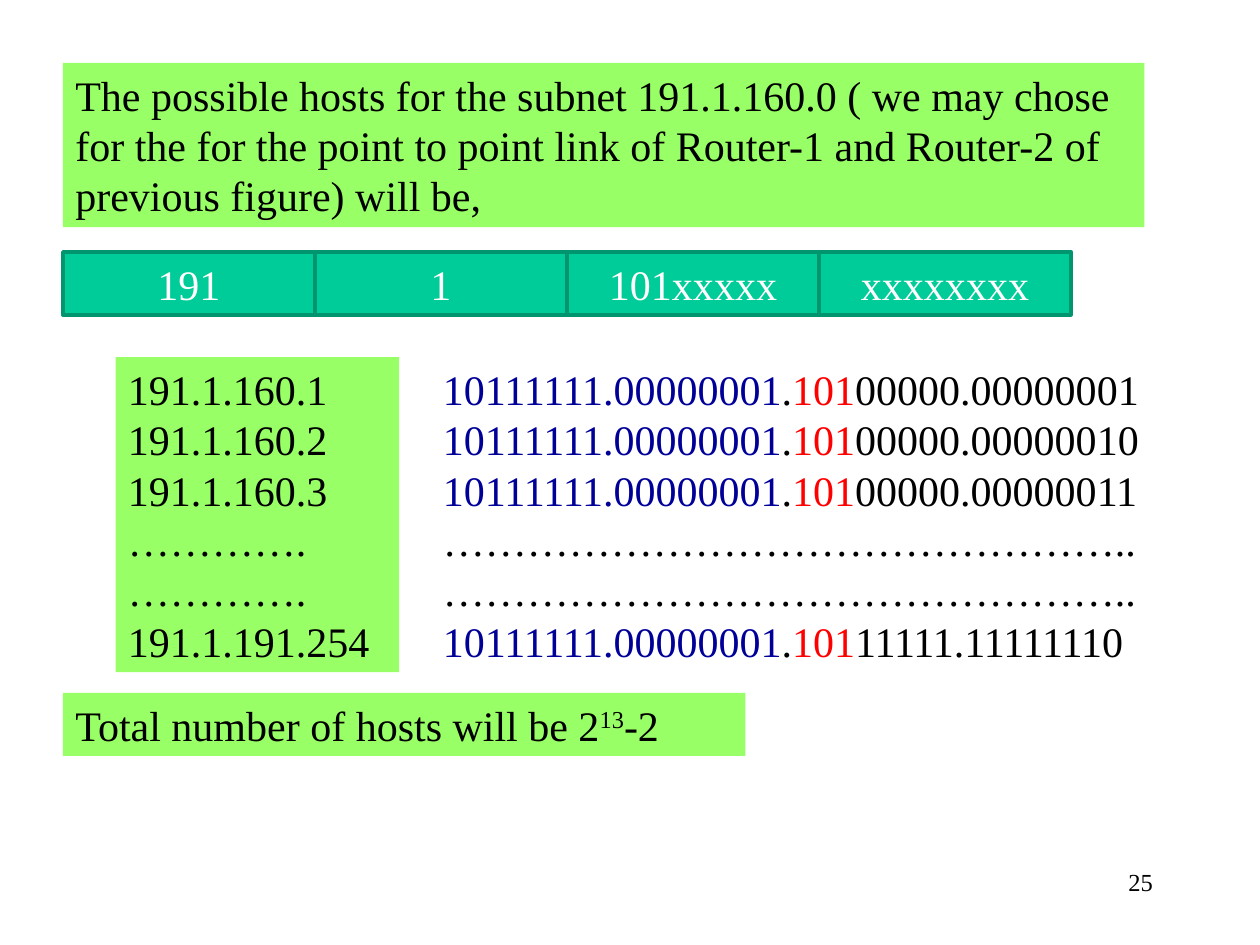
from dataclasses import dataclass
from typing import Any

from pptx import Presentation
from pptx.dml.color import RGBColor as Rgb
from pptx.enum.shapes import MSO_SHAPE as Preset
from pptx.enum.text import MSO_ANCHOR as Anchor, PP_ALIGN as Align
from pptx.util import Cm, Pt

COLORS = {
    "text": "000000",
    "panel": "99FF66",
    "octet": "00CC99",
    "octet_line": "00956F",
    "octet_text": "FFFFFF",
    "network": "000099",
    "subnet": "FF0000",
}


def color(name):
    return Rgb.from_string(COLORS[name])


def add_run(paragraph, text, *, font="Times New Roman", size=24, ink="text", raised=False):
    run = paragraph.add_run()
    run.text = text
    run.font.name = font
    run.font.size = Pt(size)
    run.font.color.rgb = color(ink)
    if raised:
        run._r.get_or_add_rPr().set("baseline", "30000")


@dataclass
class SlideBuilder:
    slide: Any
    font: str = "Times New Roman"
    size: int = 24

    def fill_frame(self, frame, lines, align=Align.LEFT, anchor=Anchor.TOP, **style):
        """Fill a frame; each line is a list of (text, format) pairs."""
        frame.word_wrap = True
        frame.vertical_anchor = anchor
        style = {"font": self.font, "size": self.size} | style
        for index, line in enumerate(lines):
            paragraph = frame.add_paragraph() if index else frame.paragraphs[0]
            paragraph.alignment = align
            for text, extra in line:
                add_run(paragraph, text, **(style | extra))

    def text(self, left, top, width, height, lines, **style):
        box = self.slide.shapes.add_textbox(Cm(left), Cm(top), Cm(width), Cm(height))
        self.fill_frame(box.text_frame, lines, **style)

    def panel(self, left, top, width, height, lines, fill="panel", line=None, parent=None, **style):
        shapes = (parent or self.slide).shapes
        box = shapes.add_shape(Preset.RECTANGLE, Cm(left), Cm(top), Cm(width), Cm(height))
        box.shadow.inherit = False
        box.fill.solid()
        box.fill.fore_color.rgb = color(fill)
        if line:
            box.line.color.rgb = color(line)
            box.line.width = Pt(2)
        else:
            box.line.fill.background()
        self.fill_frame(box.text_frame, lines, **style)

    def octet_row(self, left, top, width, height, octets):
        group = self.slide.shapes.add_group_shape()
        for index, octet in enumerate(octets):
            self.panel(left + index * width, top, width, height, [plain(octet)],
                       fill="octet", line="octet_line", parent=group,
                       align=Align.CENTER, anchor=Anchor.MIDDLE, ink="octet_text")


def plain(text):
    return [(text, {})]


def binary_address(host_bits):
    return [
        ("10111111.00000001", {"ink": "network"}),
        (".", {}),
        ("101", {"ink": "subnet"}),
        (host_bits, {}),
    ]


def main():
    deck = Presentation()
    deck.slide_width, deck.slide_height = Cm(25.4), Cm(19.05)
    builder = SlideBuilder(deck.slides.add_slide(deck.slide_layouts[6]))

    builder.text(18.2, 17.36, 5.29, 1.27, [plain("25")], align=Align.RIGHT, size=14)

    intro = ("The possible hosts for the subnet 191.1.160.0 ( we may chose for the for the "
             "point to point link of Router-1 and Router-2 of previous figure) will be,")
    builder.panel(1.27, 1.27, 21.8, 3.31, [plain(intro)])

    builder.octet_row(1.27, 5.08, 5.08, 1.27, ["191", "1", "101xxxxx", "xxxxxxxx"])

    hosts = ["191.1.160.1", "191.1.160.2", "191.1.160.3",
             "………….", "………….", "191.1.191.254"]
    builder.panel(2.33, 7.2, 5.72, 6.35, [plain(host) for host in hosts])

    total = [("Total number of hosts will be 2", {}), ("13", {"raised": True}), ("-2", {})]
    builder.panel(1.27, 13.97, 13.76, 1.27, [total])

    first_hosts = ["00000.00000001", "00000.00000010", "00000.00000011"]
    dots = plain("…………………………………………..")
    builder.text(8.68, 7.2, 15.03, 6.35, [
        *map(binary_address, first_hosts), dots, dots, binary_address("11111.11111110"),
    ])

    deck.save("out.pptx")


if __name__ == "__main__":
    main()
